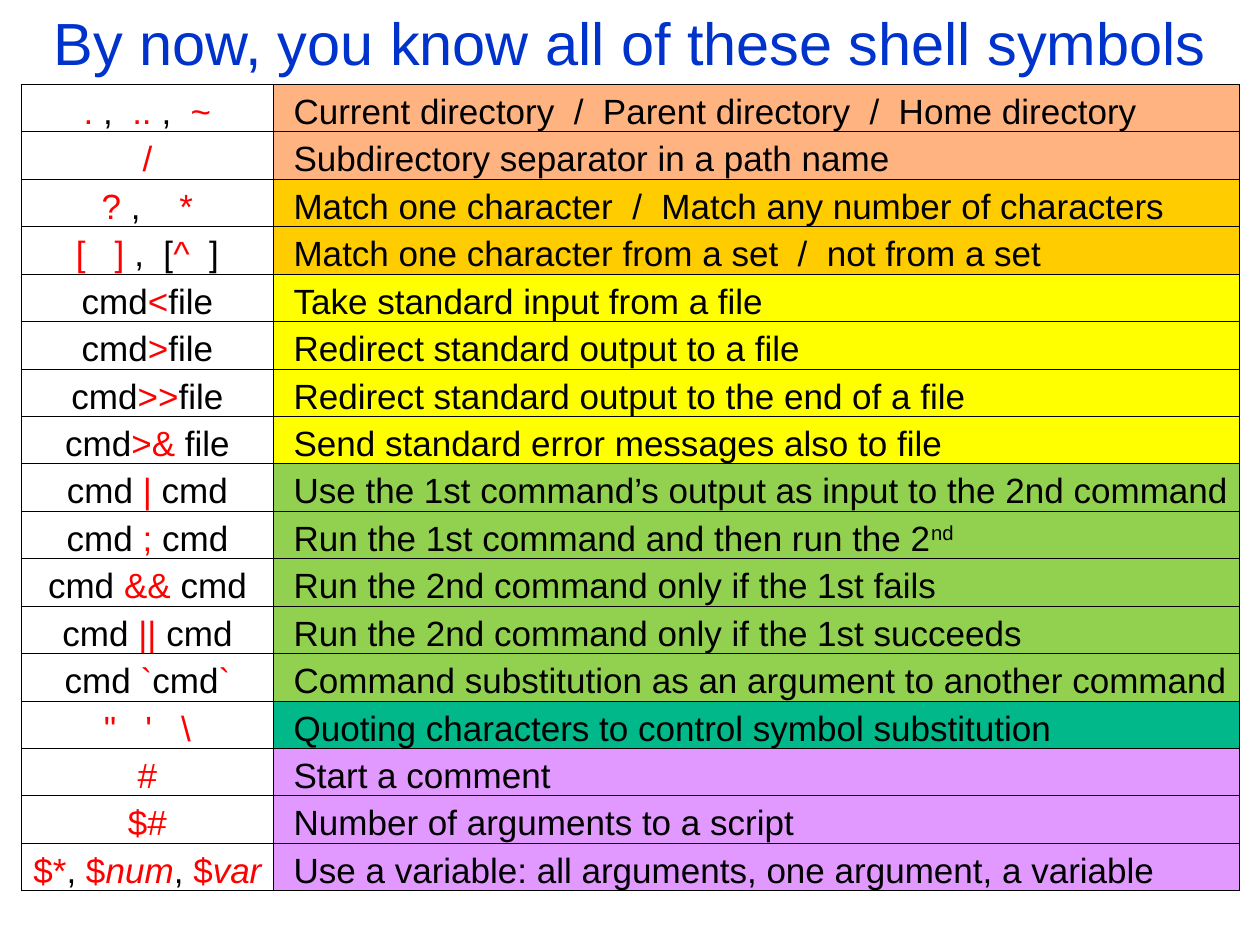
from lxml.etree import SubElement
from pptx import Presentation
from pptx.dml.color import RGBColor
from pptx.enum.text import MSO_ANCHOR, PP_ALIGN
from pptx.oxml.ns import qn
from pptx.util import Inches, Pt

THEME = {
    "font": "Arial",
    "title_size": Pt(34),
    "cell_size": Pt(20),
    "border_width": Pt(0.5),
    "title": "0033CC",
    "plain": "000000",
    "symbol": "FF0000",
    "border": "000000",
    "paths": "FFB380",
    "matching": "FFCC00",
    "redirection": "FFFF00",
    "commands": "92D050",
    "quoting": "00B88A",
    "scripts": "E198FF",
}

# Each symbol entry alternates between plain and highlighted text, plain first
SYMBOL_GROUPS = {
    "paths": [
        (["", ". ", ",", "  .. ", ",", "  ~"],
         "Current directory  /  Parent directory  /  Home directory"),
        (["", "/"], "Subdirectory separator in a path name"),
    ],
    "matching": [
        (["", "? ", ",", "    *"],
         "Match one character  /  Match any number of characters"),
        (["", "[   ] ", ",  [", "^", "  ]"],
         "Match one character from a set  /  not from a set"),
    ],
    "redirection": [
        (["cmd", "<", "file"], "Take standard input from a file"),
        (["cmd", ">", "file"], "Redirect standard output to a file"),
        (["cmd", ">>", "file"], "Redirect standard output to the end of a file"),
        (["cmd", ">&", " file"], "Send standard error messages also to file"),
    ],
    "commands": [
        (["cmd", " | ", "cmd"],
         "Use the 1st command’s output as input to the 2nd command"),
        (["cmd ", "; ", "cmd"], "Run the 1st command and then run the 2^nd"),
        (["cmd ", "&& ", "cmd"], "Run the 2nd command only if the 1st fails"),
        (["cmd ", "|| ", "cmd"], "Run the 2nd command only if the 1st succeeds"),
        (["cmd ", "`", "cmd", "`"],
         "Command substitution as an argument to another command"),
    ],
    "quoting": [
        (["", "\"   '   \\"], "Quoting characters to control symbol substitution"),
    ],
    "scripts": [
        (["", "#"], "Start a comment"),
        (["", "$#"], "Number of arguments to a script"),
        (["", "$*", ",", " $", "", "num", ", ", "$", "", "var"],
         "Use a variable: all arguments, one argument, a variable"),
    ],
}
ITALIC_NAMES = ("num", "var")


def add_run(paragraph, text, color, size, italic=False):
    run = paragraph.add_run()
    run.text = text
    for attribute, value in {"name": THEME["font"], "size": size,
                             "italic": italic}.items():
        setattr(run.font, attribute, value)
    run.font.color.rgb = RGBColor.from_string(THEME[color])
    return run


def format_cell(cell, left_margin):
    cell_format = {
        "vertical_anchor": MSO_ANCHOR.BOTTOM,
        "margin_left": left_margin,
        "margin_top": Inches(0.01),
        "margin_right": Inches(0.01),
        "margin_bottom": 0,
    }
    for attribute, value in cell_format.items():
        setattr(cell, attribute, value)
    properties = cell._tc.get_or_add_tcPr()
    for side in ("a:lnL", "a:lnR", "a:lnT", "a:lnB"):
        border = SubElement(properties, qn(side), w=str(THEME["border_width"]))
        border_fill = SubElement(border, qn("a:solidFill"))
        SubElement(border_fill, qn("a:srgbClr"), val=THEME["border"])


presentation = Presentation()
presentation.slide_width = Inches(10)
presentation.slide_height = Inches(7.5)
slide = presentation.slides.add_slide(presentation.slide_layouts[5])

# Title
title = slide.shapes.title
title_box = {"left": 0, "top": 0, "width": Inches(10), "height": Inches(0.67)}
for attribute, value in title_box.items():
    setattr(title, attribute, value)
title.text_frame.vertical_anchor = MSO_ANCHOR.MIDDLE
heading = title.text_frame.paragraphs[0]
heading.alignment = PP_ALIGN.CENTER
add_run(heading, "By now, you know all of these shell symbols",
        "title", THEME["title_size"])

# Symbol table
entries = [(group, symbol, meaning)
           for group, members in SYMBOL_GROUPS.items()
           for symbol, meaning in members]
symbol_table = slide.shapes.add_table(
    len(entries), 2, Inches(0.17), Inches(0.67), Inches(9.67), Inches(6.4)).table
symbol_table.first_row = False
symbol_table.horz_banding = False
for column, width in zip(symbol_table.columns, (2, 7.67)):
    column.width = Inches(width)

for row, (group, symbol, meaning) in enumerate(entries):
    # Symbol, highlighted within its surroundings
    symbol_cell = symbol_table.cell(row, 0)
    format_cell(symbol_cell, Inches(0.01))
    symbol_cell.fill.background()
    symbol_line = symbol_cell.text_frame.paragraphs[0]
    symbol_line.alignment = PP_ALIGN.CENTER
    for position, piece in enumerate(symbol):
        if piece:
            add_run(symbol_line, piece, ("plain", "symbol")[position % 2],
                    THEME["cell_size"], piece in ITALIC_NAMES)

    # Meaning, on the colour of its group
    meaning_cell = symbol_table.cell(row, 1)
    format_cell(meaning_cell, Inches(0.16))
    meaning_cell.fill.solid()
    meaning_cell.fill.fore_color.rgb = RGBColor.from_string(THEME[group])
    meaning_line = meaning_cell.text_frame.paragraphs[0]
    meaning_line.alignment = PP_ALIGN.LEFT
    base, _, superscript = meaning.partition("^")
    add_run(meaning_line, base, "plain", THEME["cell_size"])
    if superscript:
        raised = add_run(meaning_line, superscript, "plain", THEME["cell_size"])
        raised.font._element.set("baseline", "30000")

presentation.save("out.pptx")
